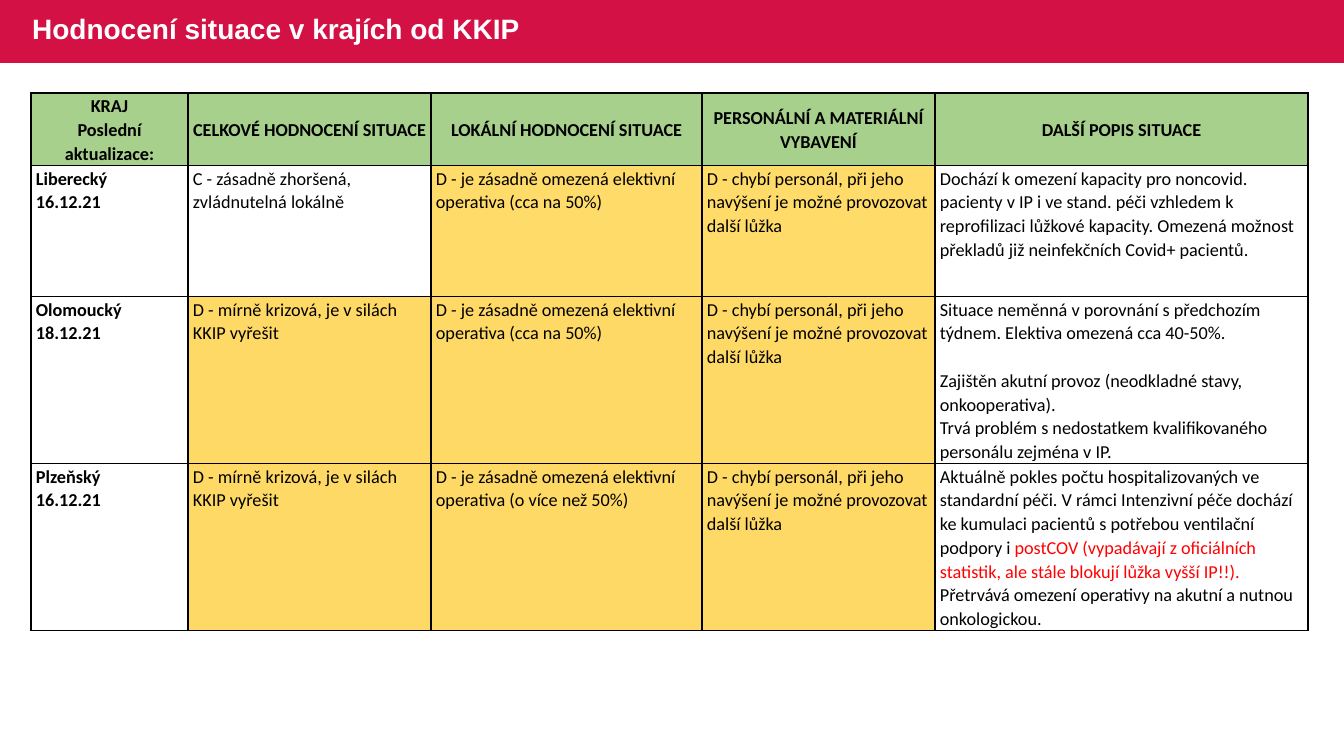
from lxml.etree import SubElement
from pptx import Presentation
from pptx.dml.color import RGBColor
from pptx.enum.shapes import MSO_SHAPE
from pptx.enum.text import MSO_ANCHOR, MSO_AUTO_SIZE, PP_ALIGN
from pptx.oxml import parse_xml
from pptx.oxml.ns import nsdecls
from pptx.util import Emu, Pt

THEME = {
    "bar": "D31145", "header": "A8D08D", "warning": "FFDB69", "crisis": "FFD966",
    "white": "FFFFFF", "text": "000000", "alert": "FF0000", "border": "000000",
    "title_font": "Arial", "table_font": "Calibri",
    "title_size": Pt(20), "table_size": Pt(13), "blank_line": Pt(17),
}
EMU_PER_INCH = 914400
PX_PER_INCH = 100.8


def px(length):
    return Emu(round(length * EMU_PER_INCH / PX_PER_INCH))


def add_run(paragraph, text, color, **font_format):
    run = paragraph.add_run()
    run.text = text
    for name, value in font_format.items():
        setattr(run.font, name, value)
    run.font.color.rgb = RGBColor.from_string(THEME[color])


presentation = Presentation()
presentation.slide_width, presentation.slide_height = px(1344), px(756)
slide = presentation.slides.add_slide(presentation.slide_layouts[5])

# Title on its full-width bar
title = slide.shapes.title
bar = slide.shapes.add_shape(MSO_SHAPE.RECTANGLE, 0, 0, px(1344), px(63))
bar.shadow.inherit = False
bar.fill.solid()
bar.fill.fore_color.rgb = RGBColor.from_string(THEME["bar"])
bar.line.fill.background()
title.element.addprevious(bar.element)

title.left, title.top, title.width, title.height = px(22), px(-1), px(821), px(63)
title_format = {"word_wrap": True, "auto_size": MSO_AUTO_SIZE.NONE,
                "vertical_anchor": MSO_ANCHOR.MIDDLE}
for name, value in title_format.items():
    setattr(title.text_frame, name, value)
heading = title.text_frame.paragraphs[0]
heading.alignment = PP_ALIGN.LEFT
heading.line_spacing = 0.9
add_run(heading, "Hodnocení situace v krajích od KKIP", "white",
        name=THEME["title_font"], size=THEME["title_size"], bold=True)

# Each cell is a list of paragraphs, each paragraph a list of (text, color) runs
# or plain text; an empty string stands for a gap of one line.
LOCAL_HALF = ["D - je zásadně omezená elektivní operativa (cca na 50%)"]
LOCAL_MORE = ["D - je zásadně omezená elektivní operativa (o více než 50%)"]
STAFF = ["D - chybí personál, při jeho navýšení je možné provozovat další lůžka"]
MILD_CRISIS = ["D - mírně krizová, je v silách KKIP vyřešit"]

rows = [
    [["KRAJ", "Poslední aktualizace:"], ["CELKOVÉ HODNOCENÍ SITUACE"],
     ["LOKÁLNÍ HODNOCENÍ SITUACE"], ["PERSONÁLNÍ A MATERIÁLNÍ VYBAVENÍ"],
     ["DALŠÍ POPIS SITUACE"]],
    [["Liberecký", "16.12.21"], ["C - zásadně zhoršená, zvládnutelná lokálně"],
     LOCAL_HALF, STAFF,
     ["Dochází k omezení kapacity pro noncovid. pacienty v IP i ve stand. péči "
      "vzhledem k reprofilizaci lůžkové kapacity. Omezená možnost překladů již "
      "neinfekčních Covid+ pacientů."]],
    [["Olomoucký", "18.12.21"], MILD_CRISIS, LOCAL_HALF, STAFF,
     ["Situace neměnná v porovnání s předchozím týdnem. Elektiva omezená cca 40-50%.",
      "",
      "Zajištěn akutní provoz (neodkladné stavy, onkooperativa).",
      "Trvá problém s nedostatkem kvalifikovaného personálu zejména v IP."]],
    [["Plzeňský", "16.12.21"], MILD_CRISIS, LOCAL_MORE, STAFF,
     [[("Aktuálně pokles počtu hospitalizovaných ve standardní péči. V rámci "
        "Intenzivní péče dochází ke kumulaci pacientů s potřebou ventilační "
        "podpory i ", "text"),
       ("postCOV (vypadávají z oficiálních statistik, ale stále blokují lůžka "
        "vyšší IP!!).", "alert")],
      "Přetrvává omezení operativy na akutní a nutnou onkologickou."]],
]
row_fills = [
    ["header"] * 5,
    [None, None, "warning", "warning", None],
    [None, "crisis", "crisis", "crisis", None],
    [None, "crisis", "crisis", "crisis", None],
]
column_widths = [157, 243, 271, 233, 373]
row_heights = [72, 131, 167, 167]

table = slide.shapes.add_table(
    len(rows), len(column_widths), px(31), px(93),
    px(sum(column_widths)), px(sum(row_heights))).table
table.first_row = False
table.horz_banding = False
for column, width in zip(table.columns, column_widths):
    column.width = px(width)
for row, height in zip(table.rows, row_heights):
    row.height = px(height)

for row_index, (contents, fills) in enumerate(zip(rows, row_fills)):
    is_header = row_index == 0
    for column_index, (paragraphs, fill) in enumerate(zip(contents, fills)):
        cell = table.cell(row_index, column_index)
        cell_format = {
            "margin_left": px(5), "margin_right": px(5),
            "margin_top": px(1), "margin_bottom": 0,
            "vertical_anchor": MSO_ANCHOR.MIDDLE if is_header else MSO_ANCHOR.TOP,
        }
        for name, value in cell_format.items():
            setattr(cell, name, value)
        if fill:
            cell.fill.solid()
            cell.fill.fore_color.rgb = RGBColor.from_string(THEME[fill])
        else:
            cell.fill.background()

        properties = cell._tc.get_or_add_tcPr()
        for position, side in enumerate(("lnL", "lnR", "lnT", "lnB")):
            border = parse_xml(f'<a:{side} {nsdecls("a")} w="{Pt(1)}"/>')
            solid = SubElement(border, border.tag.replace(side, "solidFill"))
            SubElement(solid, border.tag.replace(side, "srgbClr"), val=THEME["border"])
            properties.insert(position, border)

        paragraph = cell.text_frame.paragraphs[0]
        gap = Pt(0)
        for number, content in enumerate(paragraphs):
            if not content:
                gap = THEME["blank_line"]
                continue
            if number:
                paragraph = cell.text_frame.add_paragraph()
            paragraph.alignment = PP_ALIGN.CENTER if is_header else PP_ALIGN.LEFT
            paragraph.line_spacing = 1.07
            paragraph.space_before = gap
            gap = Pt(0)
            runs = [(content, "text")] if isinstance(content, str) else content
            for text, color in runs:
                add_run(paragraph, text, color, name=THEME["table_font"],
                        size=THEME["table_size"], bold=is_header or column_index == 0)

presentation.save("out.pptx")
